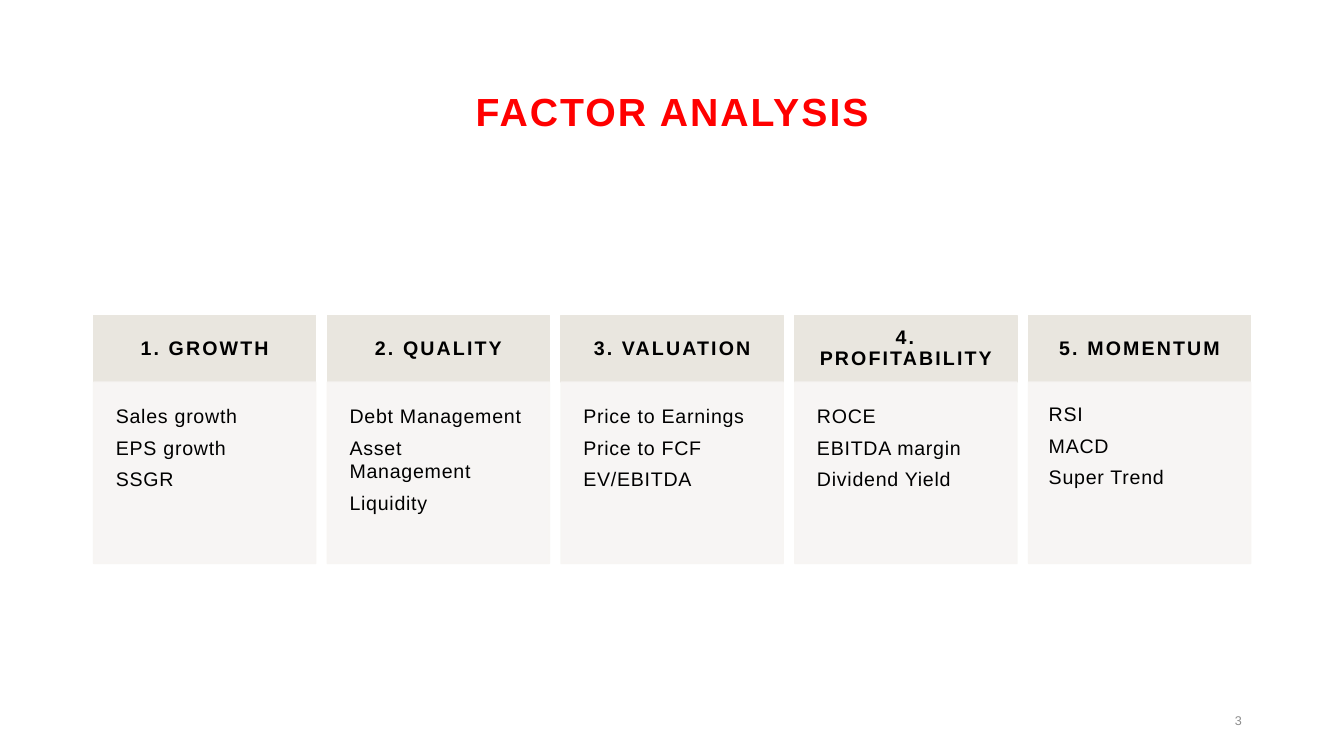
from pptx import Presentation, util as u
from pptx.dml.color import RGBColor
from pptx.enum import shapes, text
from pptx.oxml.ns import qn
from lxml import etree

Cm, Pt = u.Cm, u.Pt
MID, MSO = text.MSO_ANCHOR.MIDDLE, text.MSO_ANCHOR
AL = text.PP_ALIGN


def tint(part, hue, alpha=None):
    part.solid()
    part.fore_color.rgb = RGBColor.from_string(hue)
    if alpha:
        node = part._xPr.find(qn("a:solidFill"))[0]
        etree.SubElement(node, qn("a:alpha")).set("val", str(alpha * 1000))


def write(box, lines, frame, para, font, hue, gap=0):
    body = box.text_frame
    body.text = "\n".join(lines)
    for key, val in frame.items():
        setattr(body, key, val)
    for par in body.paragraphs:
        for key, val in para.items():
            setattr(par, key, val)
        run = par.runs[0]
        for key, val in font.items():
            setattr(run.font, key, val)
        run.font.color.rgb = RGBColor.from_string(hue)
        if gap:
            run.font._element.set("spc", str(gap))


deck = Presentation()
deck.slide_width, deck.slide_height = Cm(33.87), Cm(19.05)
slide = deck.slides.add_slide(deck.slide_layouts[6])

title = slide.shapes.add_textbox(Cm(2.34), Cm(1.02), Cm(29.21), Cm(3.68))
write(title, ["FACTOR ANALYSIS"],
      {"word_wrap": True, "vertical_anchor": MID},
      {"alignment": AL.CENTER, "line_spacing": 0.9},
      {"name": "Arial", "size": Pt(28), "bold": True}, "FF0000", 150)

cards = [
    ("1. GROWTH", ["Sales growth", "EPS growth", "SSGR"], 0.56),
    ("2. QUALITY", ["Debt Management", "Asset Management", "Liquidity"], 0.56),
    ("3. VALUATION", ["Price to Earnings", "Price to FCF", "EV/EBITDA"], 0.56),
    ("4. PROFITABILITY", ["ROCE", "EBITDA margin", "Dividend Yield"], 0.56),
    ("5. MOMENTUM", ["RSI", "MACD", "Super Trend"], 0.51),
]
sides = ["margin_left", "margin_top", "margin_right", "margin_bottom"]
left, step, wide = 2.36, 5.89, 5.6
top, head, tall = 7.95, 1.68, 4.57

for col, (name, items, pad) in enumerate(cards):
    parts = [
        (top, head, "E9E6DF", None, [name], 0.43, MID,
         {"alignment": AL.CENTER, "line_spacing": 0.9}, True, 150),
        (top + head, tall, "F7F5F3", 90, items, pad, MSO.TOP,
         {"alignment": AL.LEFT, "space_after": Pt(5.6)}, False, 50),
    ]
    for y, high, hue, alpha, lines, inset, anchor, para, bold, gap in parts:
        box = slide.shapes.add_shape(
            shapes.MSO_SHAPE.RECTANGLE,
            Cm(left + col * step), Cm(y), Cm(wide), Cm(high))
        box.shadow.inherit = False
        tint(box.fill, hue, alpha)
        tint(box.line.fill, hue, alpha)
        box.line.width = Pt(1)
        frame = {side: Cm(inset) for side in sides}
        frame.update(word_wrap=True, vertical_anchor=anchor)
        write(box, lines, frame, para,
              {"name": "Arial", "size": Pt(14), "bold": bold}, "000000", gap)

page = slide.shapes.add_textbox(Cm(23.93), Cm(17.65), Cm(7.62), Cm(1.02))
write(page, ["3"], {"word_wrap": True, "vertical_anchor": MID},
      {"alignment": AL.RIGHT}, {"name": "Arial", "size": Pt(9)}, "8C8C8C")

deck.save("out.pptx")
